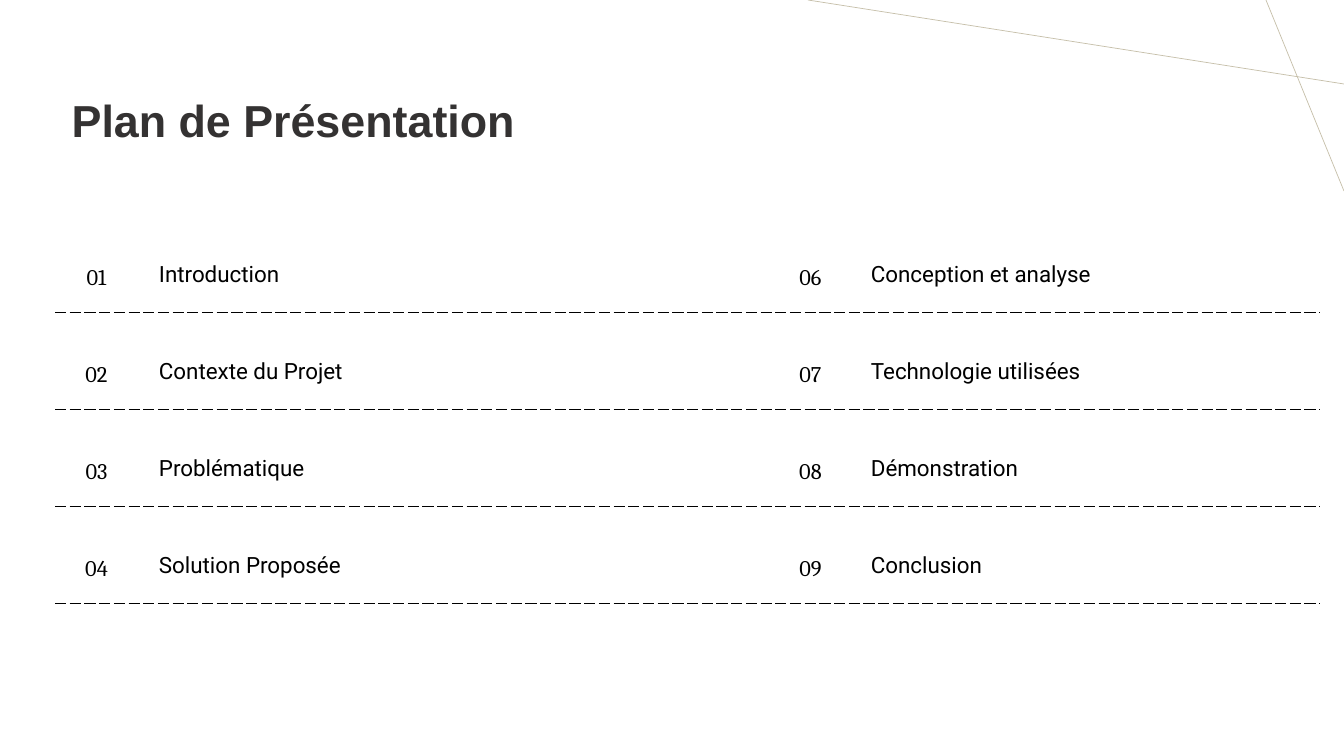
from lxml import etree
from pptx import Presentation
from pptx.dml.color import RGBColor
from pptx.enum.shapes import MSO_CONNECTOR as CONN
from pptx.enum.text import MSO_ANCHOR as ANCHOR, PP_ALIGN as ALIGN
from pptx.oxml.ns import qn
from pptx.util import Pt

PX = 914400 / 100.8
COLUMNS = [83, 633, 79, 470]
ROW_HEIGHT = 97
CELL_MARGIN = 21
PLAN = [
    ("01", "Introduction", "06", "Conception et analyse"),
    ("02", "Contexte du Projet", "07", "Technologie utilisées"),
    ("03", "Problématique", "08", "Démonstration"),
    ("04", "Solution Proposée", "09", "Conclusion"),
]


def px(n):
    """Turn pixels into EMU."""
    return round(n * PX)


def rgb(value):
    """Turn a hex string into a colour."""
    return RGBColor.from_string(value)


def add_run(p, text, font, size, color, bold=False):
    """Add one formatted run to a paragraph."""
    r = p.add_run()
    r.text = text
    r.font.name, r.font.size, r.font.bold = font, Pt(size), bold
    r.font.color.rgb = rgb(color)


def add_line(s, x1, y1, x2, y2):
    """Draw a thin decorative line."""
    line = s.shapes.add_connector(CONN.STRAIGHT, px(x1), px(y1), px(x2), px(y2))
    line.line.color.rgb = rgb("C6BFA9")
    line.line.width = Pt(0.5)
    etree.SubElement(line._element.spPr, qn("a:effectLst"))


def set_title(s, text, x, y, w, h):
    """Place and fill the title placeholder."""
    sp = s.shapes.title
    sp.left, sp.top, sp.width, sp.height = px(x), px(y), px(w), px(h)
    tf = sp.text_frame
    tf.margin_left = tf.margin_top = tf.margin_right = tf.margin_bottom = 0
    tf.vertical_anchor = ANCHOR.TOP
    tf.word_wrap = True
    p = tf.paragraphs[0]
    p.alignment = ALIGN.CENTER
    add_run(p, text, "Arial", 32, "343232", bold=True)


def set_borders(cell, dashed):
    """Dash the named sides of a cell and clear the others."""
    tc_pr = cell._tc.get_or_add_tcPr()
    for i, side in enumerate("LRTB"):
        ln = etree.Element(qn(f"a:ln{side}"), w=str(Pt(0.75)))
        if side in dashed:
            fill = etree.SubElement(ln, qn("a:solidFill"))
            etree.SubElement(fill, qn("a:srgbClr"), val="000000")
            etree.SubElement(ln, qn("a:prstDash"), val="dash")
        else:
            etree.SubElement(ln, qn("a:noFill"))
        tc_pr.insert(i, ln)


def fill_cell(cell, text, is_number):
    """Write a section number or a section name into a cell."""
    cell.fill.background()
    cell.vertical_anchor = ANCHOR.MIDDLE
    cell.margin_left = cell.margin_right = px(CELL_MARGIN)
    cell.margin_top = cell.margin_bottom = px(CELL_MARGIN)
    p = cell.text_frame.paragraphs[0]
    p.alignment = ALIGN.CENTER if is_number else ALIGN.LEFT
    p.line_spacing = Pt(39.2 if is_number else 35)
    add_run(p, text, "Cambria" if is_number else "Roboto", 16, "000000")


def add_plan(s, x, y):
    """Add the table of numbered sections."""
    frame = s.shapes.add_table(len(PLAN), len(COLUMNS), px(x), px(y),
                               px(sum(COLUMNS)), px(ROW_HEIGHT * len(PLAN)))
    table = frame.table
    table.first_row = table.horz_banding = False
    for column, width in zip(table.columns, COLUMNS):
        column.width = px(width)
    for i, texts in enumerate(PLAN):
        table.rows[i].height = px(ROW_HEIGHT)
        for j, text in enumerate(texts):
            cell = table.cell(i, j)
            fill_cell(cell, text, is_number=j % 2 == 0)
            set_borders(cell, "TB" if i else "B")


def main():
    """Build the slide and save it."""
    prs = Presentation()
    prs.slide_width, prs.slide_height = px(1344), px(756)
    s = prs.slides.add_slide(prs.slide_layouts[5])
    add_line(s, 1344, 84, 808, 0)
    add_line(s, 1266, 0, 1344, 191)
    set_title(s, "Plan de Présentation", 39, 93, 509, 54)
    add_plan(s, 55, 215)
    prs.save("out.pptx")


if __name__ == "__main__":
    main()
